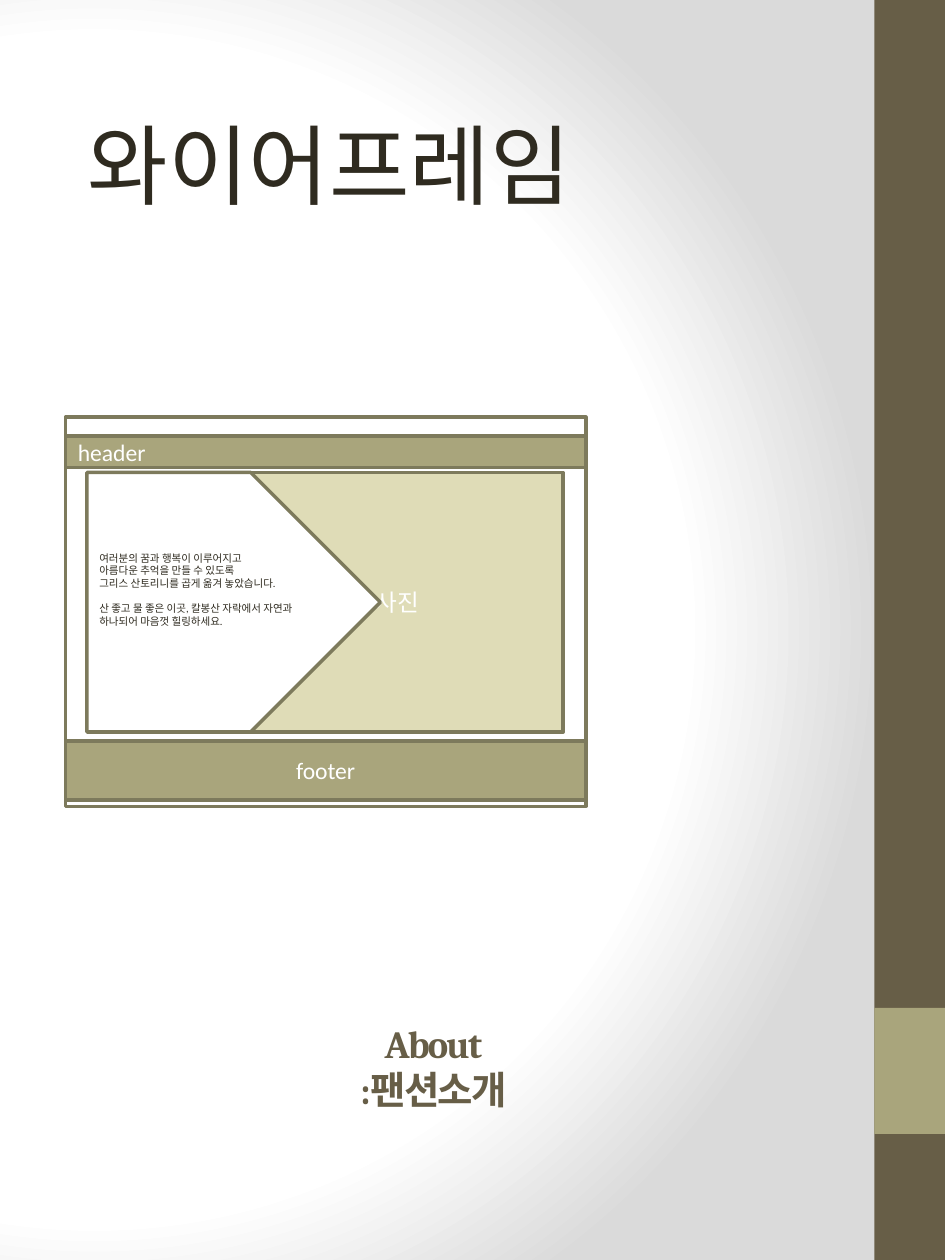
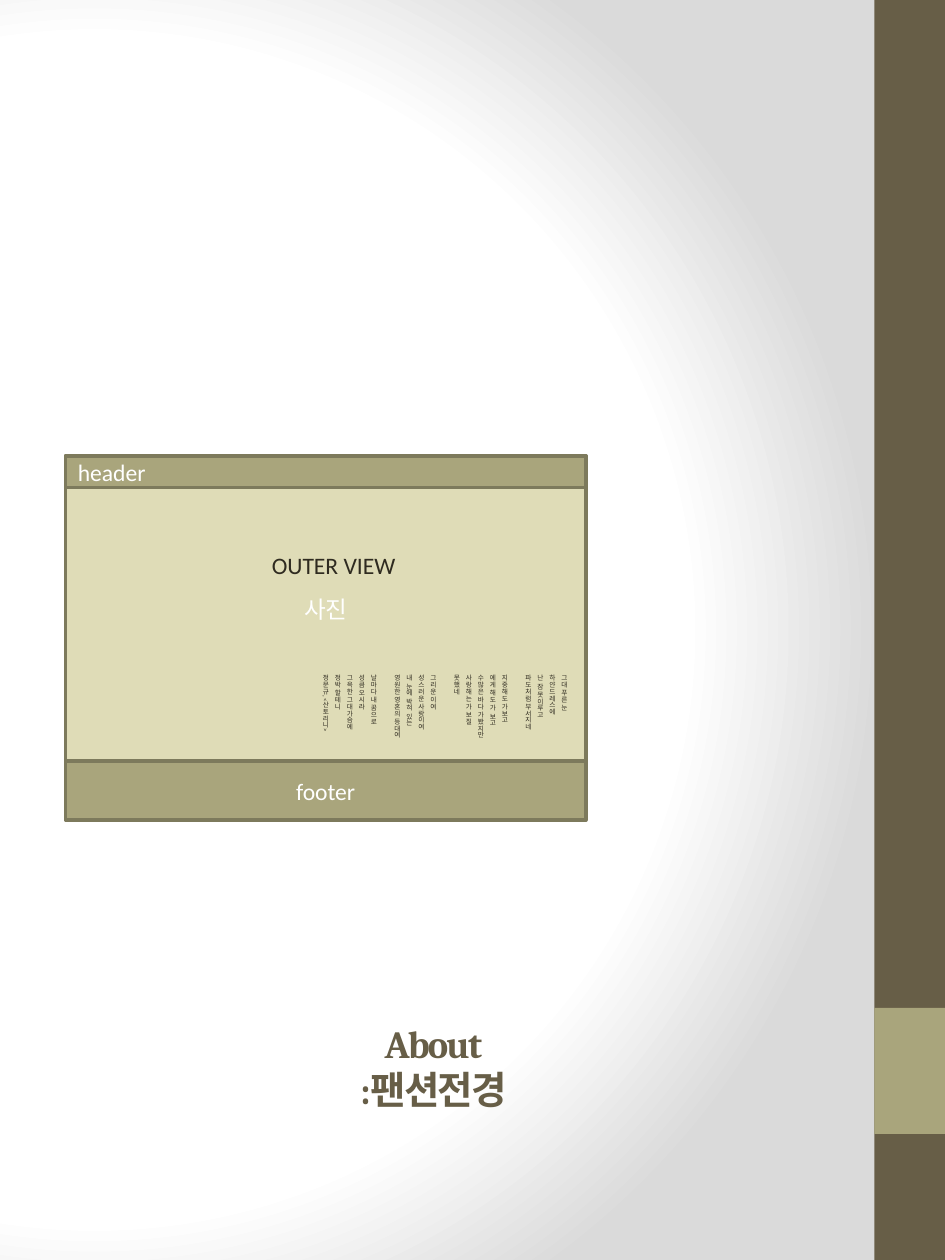
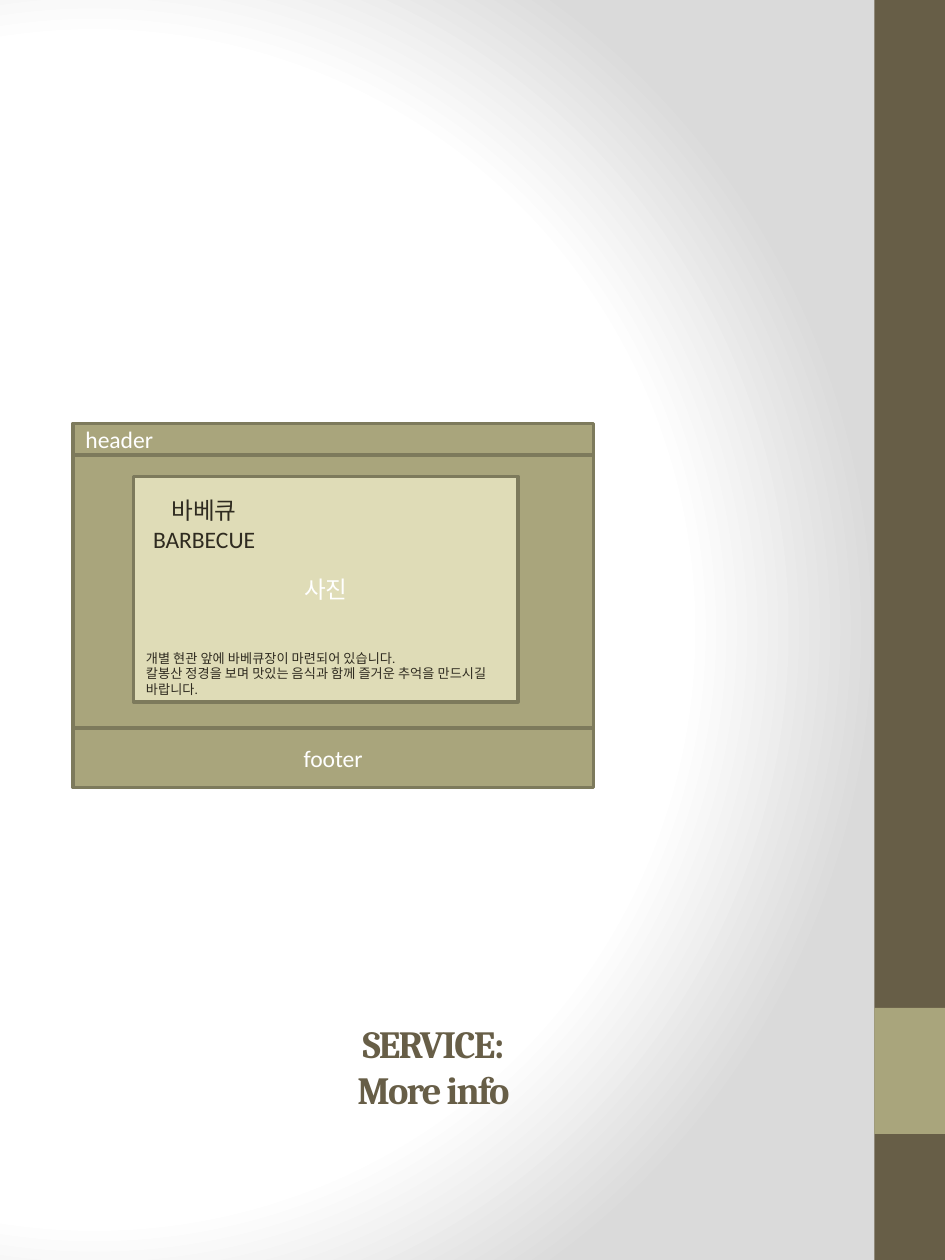
"""Build three wireframe slides for a holiday-house website."""
from pptx import Presentation
from pptx.dml.color import RGBColor as Rgb
from pptx.enum.shapes import MSO_SHAPE as Preset
from pptx.enum.text import MSO_ANCHOR as Anchor, PP_ALIGN as Align
from pptx.oxml import parse_xml
from pptx.oxml.ns import nsdecls
from pptx.util import Inches, Pt

WIDTH, HEIGHT = Inches(7.5), Inches(10)
COL, ROW = WIDTH / 75, HEIGHT / 100
COLORS = {
    "band": "675E47", "olive": "A9A57C", "outline": "7D7A5C", "sand": "DFDCB7",
    "white": "FFFFFF", "ink": "2F2B20", "haze": "DADADA",
}
FRAME_COLS, HEADER_ROWS, FOOTER_ROWS = 41.3, 2.5, 4.7
LABEL = {"name": "Calibri", "size": Pt(13.5)}
TITLE = {"name": "Cambria", "size": Pt(22), "bold": True}

INTRO = [
    ["여러분의 꿈과 행복이 이루어지고",
     "아름다운 추억을 만들 수 있도록",
     "그리스 산토리니를 곱게 옮겨 놓았습니다."],
    ["산 좋고 물 좋은 이곳, 칼봉산 자락에서 자연과 하나되어 마음껏 힐링하세요."],
]
POEM = [
    ["그대 푸른 눈", "하얀드레스에", "난 잠 못이루고", "파도처럼 부서지네"],
    ["지중해도 가보고", "에게 해도 가 보고", "수많은 바다 가봤지만", "사랑해는 가 보질 못했네"],
    ["그리운 이여", "성스러운 사랑이여", "내 눈에 박혀 있는", "영원한 영혼의 등대여"],
    ["날마다 내 꿈으로", "성큼 오시라", "그윽한 그대가슴에", "정박 할테니",
     "정문규, <산토리니>"],
]
BARBECUE = [
    ["개별 현관 앞에 바베큐장이 마련되어 있습니다.",
     "칼봉산 정경을 보며 맛있는 음식과 함께 즐거운 추억을 만드시길 바랍니다."],
]


def apply(target, values):
    """Set each named attribute on the target."""
    for name, value in values.items():
        setattr(target, name, value)


def color(name):
    """Return a palette colour."""
    return Rgb.from_string(COLORS[name])


def cells(left, top, width, height):
    """Turn grid columns and rows into slide lengths."""
    return [round(n * unit) for n, unit in zip((left, top, width, height), (COL, ROW) * 2)]


def write(frame, stanzas, font, ink, align=Align.LEFT, gap=0, spacing=None):
    """Write stanzas of lines, with a gap before every stanza but the first."""
    frame.word_wrap = True
    lines = [(line, gap if i and not j else 0)
             for i, stanza in enumerate(stanzas) for j, line in enumerate(stanza)]
    for number, (line, before) in enumerate(lines):
        paragraph = frame.paragraphs[0] if number == 0 else frame.add_paragraph()
        paragraph.text = line
        apply(paragraph, {"alignment": align, "space_before": Pt(before),
                          "line_spacing": spacing})
        for run in paragraph.runs:
            apply(run.font, font)
            run.font.color.rgb = color(ink)


def panel(slide, area, fill=None, outline="outline", preset=Preset.RECTANGLE):
    """Add a flat panel and return its text frame."""
    shape = slide.shapes.add_shape(preset, *cells(*area))
    shape.shadow.inherit = False
    if fill:
        shape.fill.solid()
        shape.fill.fore_color.rgb = color(fill)
    else:
        shape.fill.background()
    if outline:
        shape.line.color.rgb = color(outline)
        shape.line.width = Pt(2)
    else:
        shape.line.fill.background()
    shape.text_frame.vertical_anchor = Anchor.MIDDLE
    return shape.text_frame


def labelled(slide, area, fill, label, align=Align.CENTER):
    """Add a panel with a white label."""
    write(panel(slide, area, fill), [[label]], LABEL, "white", align)


def note(slide, area, stanzas, font=LABEL, ink="ink", **layout):
    """Add a text box and return its text frame."""
    frame = slide.shapes.add_textbox(*cells(*area)).text_frame
    write(frame, stanzas, font, ink, **layout)
    return frame


def header_and_footer(slide, left, header_top, footer_top):
    """Add the two bars of the web page."""
    labelled(slide, (left, header_top, FRAME_COLS, HEADER_ROWS), "olive", "header", Align.LEFT)
    labelled(slide, (left, footer_top, FRAME_COLS, FOOTER_ROWS), "olive", "footer")


def set_backdrop(deck):
    """Give the master a round white-to-grey gradient."""
    master = deck.slide_master
    master.background.fill.solid()
    stops = "".join(
        f'<a:gs pos="{share * 1000}"><a:srgbClr val="{COLORS[name]}"/></a:gs>'
        for share, name in ((0, "white"), (75, "white"), (100, "haze")))
    properties = master.element.cSld.bg.bgPr
    properties.replace(properties[0], parse_xml(
        f'<a:gradFill {nsdecls("a")} rotWithShape="1"><a:gsLst>{stops}</a:gsLst>'
        '<a:path path="circle"><a:fillToRect l="20000" t="50000" r="100000" b="50000"/>'
        '</a:path></a:gradFill>'))


def new_page(deck, title):
    """Add a slide with the side bands and its title."""
    slide = deck.slides.add_slide(deck.slide_layouts[6])
    panel(slide, (69.4, 0, 5.6, 100), "band", None)
    panel(slide, (69.4, 80, 5.6, 10), "olive", None)
    heading = note(slide, (2.5, 80.1, 63.8, 8.7), [[title]], TITLE, "band", align=Align.CENTER)
    heading.vertical_anchor = Anchor.BOTTOM
    for run in heading.paragraphs[0].runs:
        run.font._element.set("spc", "-100")
    return slide


def introduction(deck):
    """Wireframe of the introduction page."""
    slide = new_page(deck, "About\n:팬션소개")
    panel(slide, (5.2, 33.1, FRAME_COLS, 30.9))
    labelled(slide, (18.4, 37.5, 26.3, 20.6), "sand", "사진")
    arrow = panel(slide, (6.9, 37.5, 23.3, 20.6), "white", preset=Preset.PENTAGON)
    arrow.margin_bottom = Inches(0.25)
    write(arrow, INTRO, {"name": "Calibri", "size": Pt(6)}, "ink", gap=7.2)
    header_and_footer(slide, 5.2, 34.6, 58.8)
    note(slide, (6, 8.3, 51.4, 9.4), [["와이어프레임"]], {"name": "Calibri", "size": Pt(50)})


def outer_view(deck):
    """Wireframe of the outer view page."""
    slide = new_page(deck, "About\n:팬션전경")
    labelled(slide, (5.2, 36.2, FRAME_COLS, 24.2), "sand", "사진")
    poem = note(slide, (24.9, 52.6, 21, 7.2), POEM, {"name": "Calibri", "size": Pt(3.8)},
                gap=6.7, spacing=1.5)
    poem._bodyPr.set("vert", "eaVert")
    note(slide, (20.6, 43.2, 12.3, 3.3), [["OUTER VIEW"]])
    header_and_footer(slide, 5.2, 36.2, 60.4)


def service(deck):
    """Wireframe of the service page."""
    slide = new_page(deck, "SERVICE:\nMore info")
    panel(slide, (5.8, 35.1, FRAME_COLS, 23.7), "olive")
    labelled(slide, (10.6, 37.8, 30.5, 17.9), "sand", "사진")
    header_and_footer(slide, 5.8, 33.6, 57.8)
    note(slide, (10.6, 51.1, 30.5, 4.8), BARBECUE, {"name": "Calibri", "size": Pt(7.5)})
    note(slide, (10, 38.9, 12.4, 5.6), [["바베큐", "BARBECUE"]], align=Align.CENTER)


def main():
    """Build and save the deck."""
    deck = Presentation()
    apply(deck, {"slide_width": WIDTH, "slide_height": HEIGHT})
    set_backdrop(deck)
    for build in (introduction, outer_view, service):
        build(deck)
    deck.save("out.pptx")


if __name__ == "__main__":
    main()
